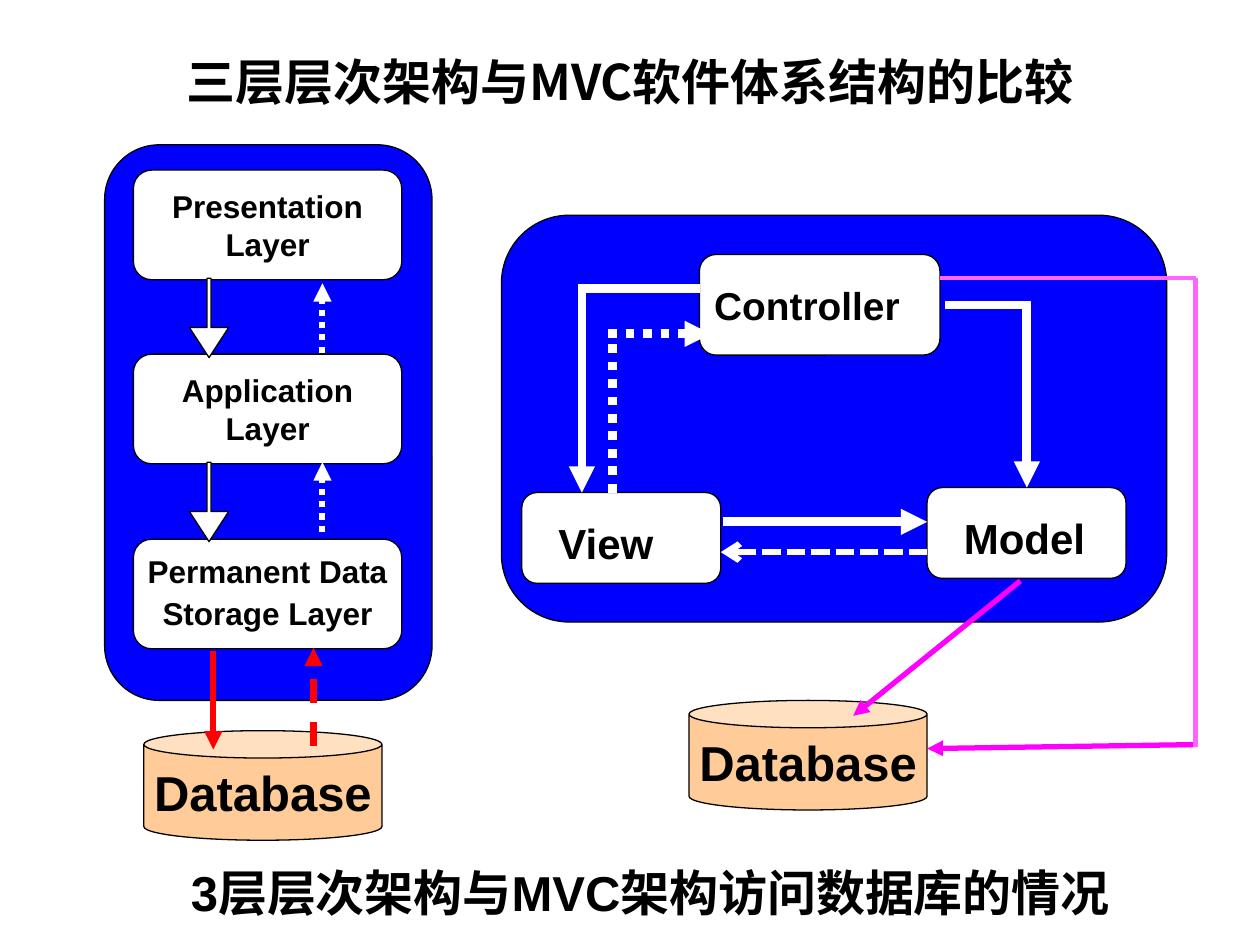
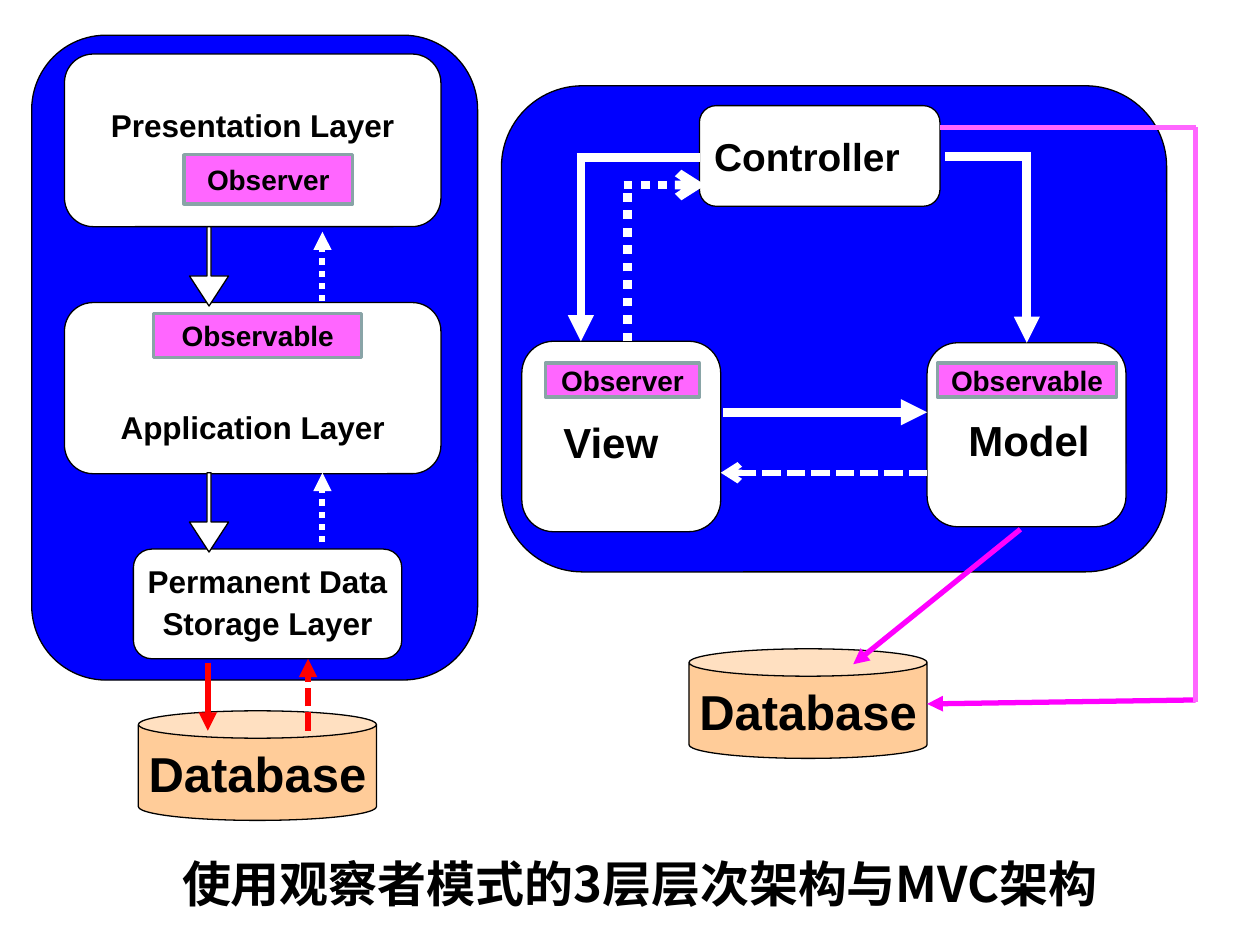
import pptx
import pptx.dml.color
import pptx.enum.dml
import pptx.enum.shapes
import pptx.enum.text
import pptx.oxml
import pptx.oxml.ns
import pptx.util

Cm, Pt = pptx.util.Cm, pptx.util.Pt
SHAPE = pptx.enum.shapes.MSO_SHAPE
DASH = pptx.enum.dml.MSO_LINE
ALIGN = pptx.enum.text.PP_ALIGN
ANCHOR = pptx.enum.text.MSO_ANCHOR
COLORS = {
    "panel": "0000FF",
    "box": "FFFFFF",
    "ink": "000000",
    "database": "FFCC99",
    "tag": "FF66FF",
    "tag_border": "89A4A7",
    "flow": "FFFFFF",
    "stack_query": "FF0000",
    "mvc_query": "FF00FF",
    "bypass": "FF66FF",
}
RGB = {part: pptx.dml.color.RGBColor.from_string(value) for part, value in COLORS.items()}
LATIN, CJK = "Arial", "Noto Sans CJK SC"
LAYER_H, DATABASE_W = 2.21, 4.80

# Each box is left, top, width, height in centimetres.
SLIDES = [
    {
        "title": ("三层层次架构与MVC软件体系结构的比较", (1.27, 0.76, 22.86, 1.75)),
        "caption": ("3层层次架构与MVC架构访问数据库的情况", (3.51, 16.66, 19.20, 2.64)),
        "mvc_panel": (10.11, 4.34, 13.41, 8.20),
        "stack_panel": (2.11, 2.92, 6.60, 11.20),
        "layers": [
            ("Presentation\nLayer", (2.69, 3.43, 5.41, LAYER_H), 0.13, 0.13),
            ("Application\nLayer", (2.69, 7.14, 5.41, LAYER_H), 0.13, 0.13),
        ],
        "storage_top": 10.87,
        "call_tops": (5.61, 9.32),
        "stack_database": (2.90, 14.73),
        "query_down": (13.13, 15.11),
        "query_up": (15.04, 13.06),
        "query_up_dash": DASH.DASH,
        "controller_top": 5.13,
        "view": (9.93, 1.83),
        "model": (9.83, 1.83),
        "mvc_database_top": 14.12,
        "request_y": 10.52,
        "notify_y": 11.13,
        "render_x": 11.73,
        "render_y": 5.82,
        "event_x": 12.34,
        "event_end": 14.33,
        "event_head": "triangle",
        "bypass_top": 5.61,
        "bypass_bottom": 15.05,
        "tags": [],
    },
    {
        "title": ("使用观察者模式的3层层次架构与MVC架构", (2.90, 17.07, 19.99, 1.45)),
        "caption": None,
        "mvc_panel": (10.11, 1.73, 13.41, 9.80),
        "stack_panel": (0.64, 0.71, 8.99, 13.00),
        "layers": [
            ("Presentation Layer", (1.30, 1.09, 7.59, 3.48), 0.13, 0.77),
            ("Application Layer", (1.30, 6.10, 7.59, 3.45), 1.70, 0.13),
        ],
        "storage_top": 11.07,
        "call_tops": (4.57, 9.53),
        "stack_database": (2.79, 14.33),
        "query_down": (13.36, 14.73),
        "query_up": (14.73, 13.28),
        "query_up_dash": DASH.SQUARE_DOT,
        "controller_top": 2.13,
        "view": (6.88, 3.84),
        "model": (6.91, 3.71),
        "mvc_database_top": 13.08,
        "request_y": 8.31,
        "notify_y": 9.53,
        "render_x": 11.71,
        "render_y": 3.18,
        "event_x": 12.65,
        "event_end": 14.22,
        "event_head": "arrow",
        "bypass_top": 2.57,
        "bypass_bottom": 14.15,
        "tags": [
            ("Observer", (3.71, 3.12, 3.40, 0.99)),
            ("Observable", (3.10, 6.32, 4.19, 0.89)),
            ("Observer", (11.00, 7.32, 3.10, 0.69)),
            ("Observable", (18.90, 7.32, 3.61, 0.69)),
        ],
    },
]


def write(shape, text, size, font=LATIN, align=ALIGN.CENTER, wrap=True,
          margins=(0.25, 0.13, 0.25, 0.13), spacing=None, before=None):
    """Set bold text; margins run left, top, right, bottom in centimetres."""
    frame = shape.text_frame
    frame.text = text
    frame.word_wrap = wrap
    frame.auto_size = pptx.enum.text.MSO_AUTO_SIZE.NONE
    frame.vertical_anchor = ANCHOR.MIDDLE
    frame.margin_left, frame.margin_top, frame.margin_right, frame.margin_bottom = map(Cm, margins)
    for paragraph in frame.paragraphs:
        paragraph.alignment = align
        paragraph.line_spacing = spacing
        paragraph.space_before = before
        for run in paragraph.runs:
            run.font.size, run.font.bold, run.font.name = Pt(size), True, font
            run.font.color.rgb = RGB["ink"]
            east_asian = pptx.oxml.parse_xml(
                f'<a:ea {pptx.oxml.ns.nsdecls("a")} typeface="{CJK}"/>')
            run.font._element.append(east_asian)


def draw(slide, kind, box, color, head=None, dash=None, width=0.75, border="ink"):
    """Add a filled shape, or with kind None a line whose box is x1, y1, x2, y2."""
    if kind is None:
        item = slide.shapes.add_connector(pptx.enum.shapes.MSO_CONNECTOR.STRAIGHT, *map(Cm, box))
        item._element.spPr.append(
            pptx.oxml.parse_xml(f'<a:effectLst {pptx.oxml.ns.nsdecls("a")}/>'))
        border = color
    else:
        item = slide.shapes.add_shape(kind, *map(Cm, box))
        item.shadow.inherit = False
        item.fill.solid()
        item.fill.fore_color.rgb = RGB[color]
    item.line.color.rgb = RGB[border]
    item.line.width = Pt(width)
    if dash:
        item.line.dash_style = dash
    if head:
        item.line._get_or_add_ln().append(
            pptx.oxml.parse_xml(f'<a:tailEnd {pptx.oxml.ns.nsdecls("a")} type="{head}"/>'))
    return item


deck = pptx.Presentation()
deck.slide_width, deck.slide_height = Cm(25.4), Cm(19.05)

for content in SLIDES:
    slide = deck.slides.add_slide(deck.slide_layouts[5])
    text, box = content["title"]
    title = slide.shapes.title
    title.left, title.top, title.width, title.height = map(Cm, box)
    write(title, text, 28, CJK)

    for panel in ("mvc_panel", "stack_panel"):
        draw(slide, SHAPE.ROUNDED_RECTANGLE, content[panel], "panel")

    # Layered stack
    for text, box, top_margin, bottom_margin in content["layers"]:
        layer = draw(slide, SHAPE.ROUNDED_RECTANGLE, box, "box")
        write(layer, text, 18, wrap=False, margins=(0.25, top_margin, 0.25, bottom_margin))
    storage = draw(slide, SHAPE.ROUNDED_RECTANGLE,
                   (2.69, content["storage_top"], 5.41, LAYER_H), "box")
    write(storage, "Permanent Data\nStorage Layer", 18, wrap=False, spacing=0.9, before=Pt(4.5))
    for call_top, gap in zip(content["call_tops"], (0.1, 0)):
        call = draw(slide, SHAPE.DOWN_ARROW, (3.82, call_top, 0.79, 1.6), "box")
        call.adjustments[0], call.adjustments[1] = 0.106, 0.766
        reply_top = call_top + gap
        draw(slide, None, (6.5, reply_top + 1.4, 6.5, reply_top), "flow",
             "triangle", DASH.ROUND_DOT, 3.5)

    # Databases
    database_x, database_top = content["stack_database"]
    mvc_database_top = content["mvc_database_top"]
    for left, top in ((database_x, database_top), (13.89, mvc_database_top)):
        database = draw(slide, SHAPE.CAN, (left, top, DATABASE_W, LAYER_H), "database")
        write(database, "Database", 28, wrap=False)
    for x, ends, dash in ((database_x + 1.4, content["query_down"], None),
                          (database_x + 3.42, content["query_up"], content["query_up_dash"])):
        draw(slide, None, (x, ends[0], x, ends[1]), "stack_query", "triangle", dash, 3.5)

    # MVC triad
    controller_top = content["controller_top"]
    view_top, view_height = content["view"]
    model_top, model_height = content["model"]
    for text, box, size, indent, spacing in (
        ("Controller", (14.1, controller_top, 4.85, 2.03), 22.2, 0.2, None),
        ("View", (10.52, view_top, 4.01, view_height), 24, 0.65, 1.2),
        ("Model", (18.69, model_top, 4.01, model_height), 24, 0.65, 1.2),
    ):
        component = draw(slide, SHAPE.ROUNDED_RECTANGLE, box, "box")
        write(component, text, size, align=ALIGN.LEFT, spacing=spacing,
              margins=(indent, 0.08, 0.1, 0.08))

    request_y, notify_y = content["request_y"], content["notify_y"]
    render_x, render_y = content["render_x"], content["render_y"]
    event_x, event_y = content["event_x"], controller_top + 1.6
    update_y = controller_top + 1.02
    for ends, head, dash, width in (
        ((14.58, request_y, 18.69, request_y), "triangle", None, 5),
        ((18.69, notify_y, 14.53, notify_y), "arrow", DASH.SQUARE_DOT, 3.5),
        ((20.78, update_y, 19.05, update_y), None, None, 5),
        ((20.7, update_y, 20.7, model_top), "triangle", None, 5),
        ((render_x - 0.08, render_y, 14.12, render_y), None, None, 5),
        ((render_x, render_y, render_x, view_top), "triangle", None, 5),
        ((event_x, view_top, event_x, event_y), None, DASH.ROUND_DOT, 5),
        ((event_x - 0.08, event_y, content["event_end"], event_y),
         content["event_head"], DASH.ROUND_DOT, 5),
    ):
        draw(slide, None, ends, "flow", head, dash, width)

    # Database access from the model and the controller
    bypass_top, bypass_bottom = content["bypass_top"], content["bypass_bottom"]
    draw(slide, None, (20.57, mvc_database_top - 2.41, 17.2, mvc_database_top + 0.31),
         "mvc_query", "triangle", width=3)
    draw(slide, None, (24.1, bypass_bottom - 0.04, 18.69, bypass_bottom + 0.04),
         "mvc_query", "triangle", width=3)
    draw(slide, None, (18.95, bypass_top, 24.1, bypass_top), "bypass", width=2.5)
    draw(slide, None, (24.1, bypass_top, 24.1, bypass_bottom), "bypass", width=2.5)

    for text, box in content["tags"]:
        tag = draw(slide, SHAPE.RECTANGLE, box, "tag", width=2, border="tag_border")
        write(tag, text, 16, margins=(0, 0, 0, 0))

    if content["caption"]:
        text, box = content["caption"]
        write(slide.shapes.add_textbox(*map(Cm, box)), text, 28)

deck.save("out.pptx")
